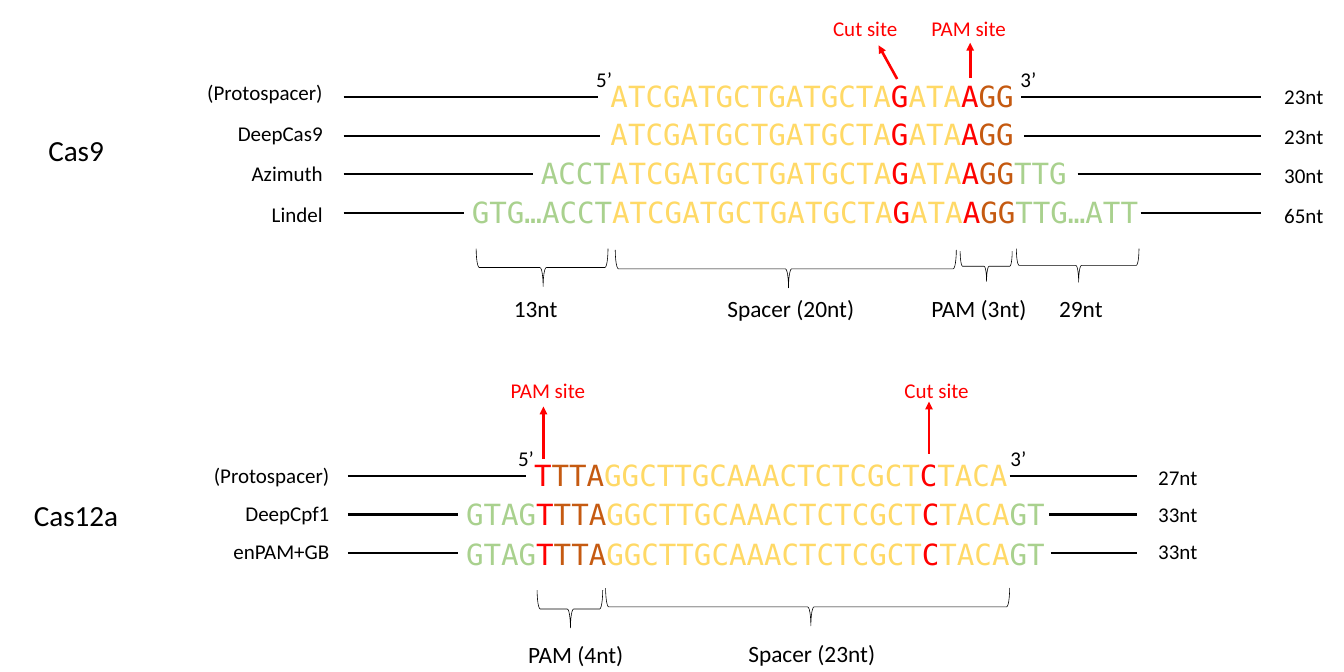
from collections import namedtuple
from dataclasses import dataclass

from pptx import Presentation
from pptx import util as u
from pptx.dml import color
from pptx.enum import shapes, text
from pptx.oxml import ns
from lxml import etree


@dataclass(frozen=True)
class Theme:
    body: str = "Calibri"
    mono: str = "DejaVu Sans Mono"
    ink: str = "000000"
    site: str = "FF0000"
    spacer: str = "FFD966"
    pam: str = "C55A11"
    flank: str = "A9D18E"
    small: float = 18
    medium: float = 20
    large: float = 25
    hairline: float = 0.5
    strand: float = 1.75
    arrow: float = 2.25


THEME = Theme()
Box = namedtuple("Box", "left top width height")
# A column of rows: horizontal place, first row's offset, distance between rows
Column = namedtuple("Column", "x first step")
Row = namedtuple("Row", "name segments left width strand_end strand_start count")
Site = namedtuple("Site", "label left top width tail head")
Region = namedtuple("Region", "label label_left label_top label_width left top width depth")
End = namedtuple("End", "label left top")
Panel = namedtuple("Panel", "title title_box names sequences strands strand_stop counts "
                            "rows sites ends regions")

# Sequences as (role, bases); the role names a theme colour
CAS9_CORE = [("spacer", "ATCGATGCTGATGCTA"), ("site", "G"), ("spacer", "ATA"),
             ("site", "A"), ("pam", "GG")]
CAS12A_CORE = [("site", "T"), ("pam", "TTA"), ("spacer", "GGCTTGCAAACTCTCGCT"),
               ("site", "C"), ("spacer", "TACA")]


def flanked(before, core, after):
    return [("flank", before), *core, ("flank", after)]


CAS12A_FLANKED = flanked("GTAG", CAS12A_CORE, "GT")

CAS9 = Panel(
    title="Cas9", title_box=(16.6, 110.2, 97.2),
    names=Column(154.8, 64.8, 34.8), sequences=Column(0, 63.2, 33.4),
    strands=Column(294.5, 83.5, 32.9), strand_stop=1080.7,
    counts=Column(1093.7, 68.4, 33.84),
    rows=[
        Row("(Protospacer)", CAS9_CORE, 516.2, 528, 512.6, 875.5, "23nt"),
        Row("DeepCas9", CAS9_CORE, 516.2, 528, 514.1, 877.7, "23nt"),
        Row("Azimuth", flanked("ACCT", CAS9_CORE, "TTG"), 456.5, 469.5, 456.5, 923.8, "30nt"),
        Row("Lindel", flanked("GTG…ACCT", CAS9_CORE, "TTG…ATT"), 397.4, 600, 397.4, 977.8, "65nt"),
    ],
    sites=[
        Site("PAM site", 791.3, 9.4, 124.6, (831.6, 67), (831.6, 36.7)),
        Site("Cut site", 707, 9.4, 80, (769, 67.7), (753.1, 38.9)),
    ],
    ends=[End("5’", 504, 53.3), End("3’", 867.6, 53.3)],
    regions=[
        Region("13nt", 433.4, 248.4, 60.5, 408.2, 213.1, 113, 32.4),
        Region("Spacer (20nt)", 616.3, 248.4, 162, 527.4, 214.2, 292.3, 32.4),
        Region("PAM (3nt)", 791.3, 248.4, 109.4, 823, 215.3, 44.6, 25.9),
        Region("29nt", 900.7, 248.4, 60.5, 871.2, 213.1, 105.1, 28.8),
    ])

CAS12A = Panel(
    title="Cas12a", title_box=(10.8, 134.6, 108.7),
    names=Column(160.5, 105.1, 32.4), sequences=Column(0, 100.8, 33.5),
    strands=Column(298.1, 120.2, 32.8), strand_stop=974.9,
    counts=Column(985.7, 106.6, 31.7),
    rows=[
        Row("(Protospacer)", CAS12A_CORE, 450.7, 528, 450.7, 865.4, "27nt"),
        Row("DeepCpf1", CAS12A_FLANKED, 392.4, 528, 392.4, 899.3, "33nt"),
        Row("enPAM+GB", CAS12A_FLANKED, 392.4, 528, 392.4, 900.7, "33nt"),
    ],
    sites=[
        Site("PAM site", 430.6, 31.7, 124.6, (465.8, 105.1), (465.8, 60.5)),
        Site("Cut site", 768.2, 31.7, 80, (796.3, 100.8), (796.3, 56.2)),
    ],
    ends=[End("5’", 437, 90), End("3’", 859, 90.7)],
    regions=[
        Region("PAM (4nt)", 445.7, 257, 109.4, 460.4, 217.8, 56.2, 32.4),
        Region("Spacer (23nt)", 634.3, 256.3, 162, 519.1, 216, 346.3, 32.4),
    ])


def rgb(value):
    return color.RGBColor.from_string(value)


def add_text(page, content, left, top, width, size=THEME.small, font=THEME.body,
             role="ink", align=text.PP_ALIGN.LEFT):
    """Content is a plain string, or a list of (role, string) segments."""
    segments = [(role, content)] if isinstance(content, str) else content
    label = page.shapes.add_textbox(u.Pt(left), u.Pt(top), u.Pt(width), u.Pt(size * 1.2 + 7.2))
    label.text_frame.word_wrap = True
    label.text_frame.auto_size = text.MSO_AUTO_SIZE.SHAPE_TO_FIT_TEXT
    para = label.text_frame.paragraphs[0]
    para.alignment = align
    for segment_role, letters in segments:
        span = para.add_run()
        span.text = letters
        span.font.name = font
        span.font.size = u.Pt(size)
        span.font.color.rgb = rgb(getattr(THEME, segment_role))


def add_line(page, start, end, role="ink", weight=THEME.strand, arrow=False):
    line = page.shapes.add_connector(shapes.MSO_CONNECTOR.STRAIGHT,
                                     *(u.Pt(value) for value in (*start, *end)))
    line.line.color.rgb = rgb(getattr(THEME, role))
    line.line.width = u.Pt(weight)
    if arrow:
        etree.SubElement(line.line._get_or_add_ln(), ns.qn("a:tailEnd"), type="triangle")
    etree.SubElement(line._element.spPr, ns.qn("a:effectLst"))


def add_brace(page, left, top, width, depth):
    """Horizontal brace pointing down: a left brace turned about its centre."""
    brace = page.shapes.add_shape(
        shapes.MSO_SHAPE.LEFT_BRACE, u.Pt(left + (width - depth) / 2),
        u.Pt(top + (depth - width) / 2), u.Pt(depth), u.Pt(width))
    brace.rotation = 270
    brace.adjustments[0], brace.adjustments[1] = 0.083, 0.508
    brace.shadow.inherit = False
    brace.fill.background()
    brace.line.color.rgb = rgb(THEME.ink)
    brace.line.width = u.Pt(THEME.hairline)


def draw_panel(page, box, panel):
    def place(x, y):
        return box.left + x, box.top + y

    # Enzyme name
    x, y, width = panel.title_box
    add_text(page, panel.title, *place(x, y), width, size=THEME.large,
             align=text.PP_ALIGN.CENTER)

    # Rows: name, strand, sequence, strand, length
    for index, row in enumerate(panel.rows):
        name_y, sequence_y, strand_y, count_y = (
            column.first + index * column.step
            for column in (panel.names, panel.sequences, panel.strands, panel.counts))
        add_text(page, row.name, *place(panel.names.x, name_y), 128.9,
                 align=text.PP_ALIGN.RIGHT)
        for start, end in ((panel.strands.x, row.strand_end),
                           (row.strand_start, panel.strand_stop)):
            add_line(page, place(start, strand_y), place(end, strand_y))
        add_text(page, row.segments, *place(row.left, sequence_y), row.width,
                 size=THEME.large, font=THEME.mono)
        add_text(page, row.count, *place(panel.counts.x, count_y), 58)

    # Strand ends
    for end in panel.ends:
        add_text(page, end.label, *place(end.left, end.top), 80)

    # Marked sites with arrows
    for site in panel.sites:
        add_text(page, site.label, *place(site.left, site.top), site.width, role="site")
        add_line(page, place(*site.tail), place(*site.head), role="site",
                 weight=THEME.arrow, arrow=True)

    # Braces and region lengths
    for region in panel.regions:
        add_brace(page, *place(region.left, region.top), region.width, region.depth)
        add_text(page, region.label, *place(region.label_left, region.label_top),
                 region.label_width, size=THEME.medium)


deck = Presentation()
deck.slide_width, deck.slide_height = u.Pt(1152), u.Pt(576)
page = deck.slides.add_slide(deck.slide_layouts[6])
for index, panel in enumerate((CAS9, CAS12A)):
    draw_panel(page, Box(0, 288 * index, 1152, 288), panel)
deck.save("out.pptx")
